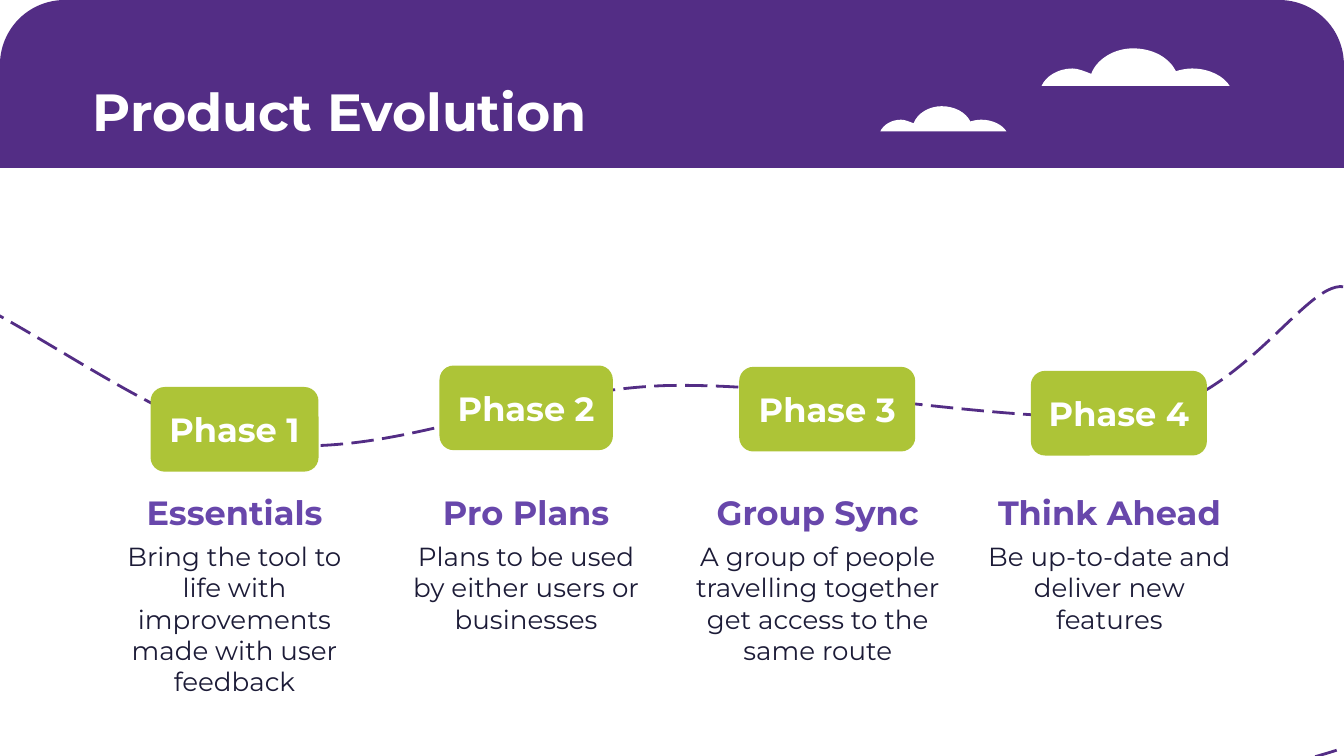
from lxml.etree import SubElement
from pptx import Presentation
from pptx.dml.color import RGBColor
from pptx.enum.dml import MSO_LINE
from pptx.enum.shapes import MSO_SHAPE as Shape
from pptx.enum.text import MSO_ANCHOR as Anchor, PP_ALIGN as Align
from pptx.oxml.ns import qn
from pptx.util import Inches, Pt

# Content
TITLE = "Product Evolution"
# label, badge (left, top, width), heading, description, description height
PHASES = [
    ("Phase 1", (1.12, 2.88, 1.25), "Essentials",
     "Bring the tool to life with improvements made with user feedback", 0.63),
    ("Phase 2", (3.27, 2.72, 1.29), "Pro Plans",
     "Plans to be used by either users or businesses", 0.63),
    ("Phase 3", (5.5, 2.73, 1.31), "Group Sync",
     "A group of people travelling together get access to the same route", 1.22),
    ("Phase 4", (7.67, 2.76, 1.31), "Think Ahead",
     "Be up-to-date and deliver new features", 0.63),
]

# Outlines: a start point, then lines (x, y) or curves (two controls and an end)
ROUTE = [
    (-0.97, 2.16),
    (-0.57, 1.69, 0.97, 3.18, 1.95, 3.3),
    (2.94, 3.42, 3.85, 2.91, 4.94, 2.87),
    (6.03, 2.84, 7.62, 3.19, 8.49, 3.08),
    (9.35, 2.97, 9.85, 1.81, 10.11, 2.22),
    (10.38, 2.63, 11.86, 4.88, 10.1, 5.53),
    (8.33, 6.19, 1.35, 6.72, -0.5, 6.16),
    (-2.34, 5.59, -1.38, 2.64, -0.97, 2.16),
]
CLOUD = [
    (0.68, 0),
    (0.83, 0, 0.95, 0.07, 1, 0.17),
    (1.03, 0.16, 1.08, 0.15, 1.12, 0.15),
    (1.25, 0.15, 1.36, 0.21, 1.4, 0.28),
    (0, 0.28),
    (0.03, 0.21, 0.12, 0.15, 0.23, 0.15),
    (0.27, 0.15, 0.32, 0.17, 0.37, 0.19),
    (0.41, 0.08, 0.54, 0, 0.68, 0),
]
CLOUD_PLACES = [(7.75, 0.36, 1), (6.55, 0.79, 0.67)]  # left, top, scale

THEME = {
    "font": "Montserrat",
    "purple": "532D85", "violet": "6847AB", "green": "ADC437",
    "ink": "1C1B37", "white": "FFFFFF",
    "title": 28, "heading": 18, "body": 14,
}
PITCH = 2.17
BADGE_HEIGHT = 0.63


def color(name):
    return RGBColor.from_string(THEME[name])


def paint(shape, fill):
    shape.shadow.inherit = False
    shape.fill.solid()
    shape.fill.fore_color.rgb = color(fill)
    shape.line.fill.background()


def write(shape, text, size, ink, bold=False, align=Align.CENTER, anchor=Anchor.TOP):
    frame = shape.text_frame
    frame.text = text
    frame.word_wrap = True
    frame.vertical_anchor = anchor
    frame.margin_left = frame.margin_right = Inches(0.1)
    frame.margin_top = frame.margin_bottom = Inches(0.1)
    paragraph = frame.paragraphs[0]
    paragraph.alignment = align
    font = paragraph.runs[0].font
    font.name, font.size, font.bold = THEME["font"], Pt(THEME[size]), bold
    font.color.rgb = color(ink)


def add_text(box, *args, **kwargs):
    write(slide.shapes.add_textbox(*map(Inches, box)), *args, **kwargs)


def add_outline(outline, left=0, top=0, scale=1):
    """Draw a closed outline whose six-number steps become Bézier curves."""
    steps = [
        [(Inches(left + x * scale), Inches(top + y * scale))
         for x, y in zip(step[::2], step[1::2])]
        for step in outline
    ]
    builder = slide.shapes.build_freeform(*steps[0][0])
    builder.add_line_segments([step[-1] for step in steps[1:]], close=True)
    shape = builder.convert_to_shape()
    segments = list(shape.element.iter(qn("a:lnTo")))
    for segment, step in zip(segments, steps[1:]):
        if len(step) == 3:
            segment.tag = qn("a:cubicBezTo")
            end = segment[0]
            for x, y in step[:2]:
                control = SubElement(segment, qn("a:pt"))
                control.set("x", str(x - shape.left))
                control.set("y", str(y - shape.top))
            segment.append(end)
    return shape


# Widescreen 16:9 slide
prs = Presentation()
prs.slide_width = Inches(10)
prs.slide_height = Inches(10 * 9 / 16)
slide = prs.slides.add_slide(prs.slide_layouts[6])

# Header band with clouds
band = slide.shapes.add_shape(
    Shape.ROUND_2_SAME_RECTANGLE, 0, 0, prs.slide_width, Inches(1.25))
band.adjustments[0], band.adjustments[1] = 0.385, 0
paint(band, "purple")
for place in CLOUD_PLACES:
    paint(add_outline(CLOUD, *place), "white")

# Dashed route
route = add_outline(ROUTE)
route.shadow.inherit = False
route.fill.background()
route.line.color.rgb = color("purple")
route.line.width = Pt(1.5)
route.line.dash_style = MSO_LINE.LONG_DASH

# Title
add_text((0.59, 0.49, 5.02, 0.63), TITLE, "title", "white", True, Align.LEFT)

# Phases: badge on the route, heading and description below
for column, (label, badge_place, heading, description, height) in enumerate(PHASES):
    shift = column * PITCH
    add_text((0.74 + shift, 3.56, 2.01, 0.39), heading, "heading", "violet", True)
    add_text((0.7 + shift, 3.92, 2.09, height), description, "body", "ink")
    badge = slide.shapes.add_shape(
        Shape.ROUNDED_RECTANGLE, *map(Inches, (*badge_place, BADGE_HEIGHT)))
    badge.adjustments[0] = 0.167
    paint(badge, "green")
    write(badge, label, "heading", "white", True, anchor=Anchor.MIDDLE)

prs.save("out.pptx")
